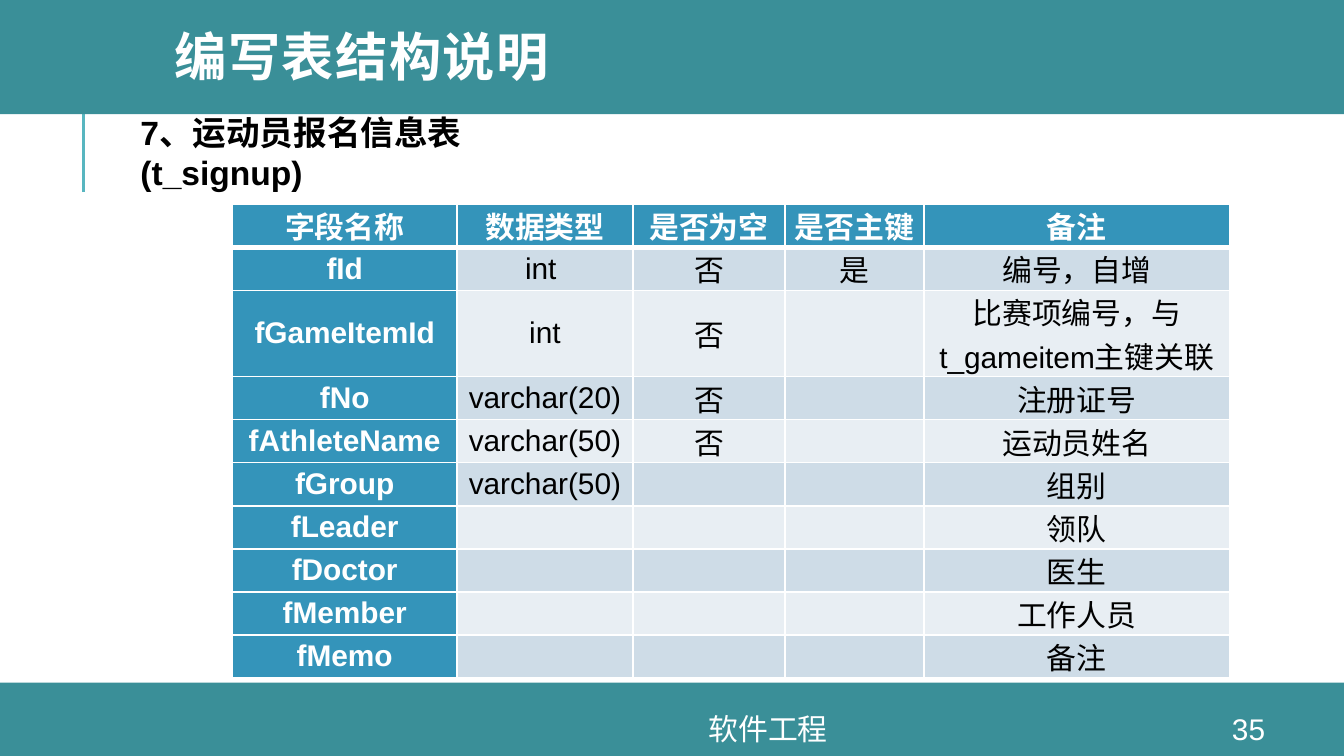
"""Build the slide that documents the fields of the sign-up table."""
from dataclasses import dataclass
from typing import NamedTuple

from lxml.etree import SubElement
from pptx import Presentation
from pptx.dml.color import RGBColor
from pptx.enum.shapes import MSO_CONNECTOR as Connector, MSO_SHAPE as Shape
from pptx.enum.text import MSO_ANCHOR as Anchor, PP_ALIGN as Align
from pptx.oxml.ns import qn
from pptx.util import Inches, Pt

COLUMNS, ROWS = 100, 56.25
UNIT = Inches(10) / COLUMNS


@dataclass(frozen=True)
class Theme:
    font: str = "Arial"
    band: str = "3A8F98"
    rule: str = "58B6C0"
    key: str = "3494BA"
    dark_row: str = "CEDCE7"
    light_row: str = "E8EEF3"
    white: str = "FFFFFF"
    black: str = "000000"
    title_size: int = 28
    subtitle_size: int = 18
    body_size: int = 16


class Area(NamedTuple):
    left: float
    top: float
    width: float
    height: float

    def emu(self) -> list[int]:
        """Convert grid columns and rows to slide lengths."""
        return [grid(value) for value in self]


class Insets(NamedTuple):
    left: float
    top: float
    right: float
    bottom: float


@dataclass(frozen=True)
class Label:
    text: str
    area: Area
    size: int
    color: str
    insets: Insets
    bold: bool = False
    align: Align = Align.LEFT
    line_spacing: float = 1.0
    tracking: int = 0


class Field(NamedTuple):
    name: str
    kind: str = ""
    nullable: str = ""
    primary: str = ""
    note: str = ""


THEME = Theme()
BANDS = (Area(0, 50.8, COLUMNS, ROWS - 50.8), Area(0, -0.3, COLUMNS, 8.8))
FOOTER_INSETS = Insets(1, 0, 1, 0)
LABELS = (
    Label("7、运动员报名信息表(t_signup)", Area(9.7, 9.4, 38.5, 3.8),
          THEME.subtitle_size, THEME.black, Insets(0.75, 0.4, 3, 0.4), bold=True),
    Label("编写表结构说明", Area(12, 0, 84.9, 9.1), THEME.title_size, THEME.white,
          Insets(1, 0.5, 1, 0.5), bold=True, line_spacing=0.8, tracking=80),
    Label("35", Area(88.9, 53.1, 8, 2.3), THEME.body_size, THEME.white,
          FOOTER_INSETS, align=Align.CENTER),
    Label("软件工程", Area(26.1, 53.1, 62.1, 2.3), THEME.body_size, THEME.white,
          FOOTER_INSETS, align=Align.CENTER),
)
FIELD_COLUMNS = (16.7, 13.1, 11.3, 10.35, 22.75)
ROW_HEIGHT, TALL_ROW_HEIGHT, TALL_ROW = 2.9, 4.6, 2
FIELDS = (
    Field("字段名称", "数据类型", "是否为空", "是否主键", "备注"),
    Field("fId", "int ", "否", "是", "编号，自增"),
    Field("fGameItemId", "int", "否", note="比赛项编号，与t_gameitem主键关联"),
    Field("fNo", "varchar(20)", "否", note="注册证号"),
    Field("fAthleteName", "varchar(50)", "否", note="运动员姓名"),
    Field("fGroup", "varchar(50)", note="组别"),
    Field("fLeader", note="领队"),
    Field("fDoctor", note="医生"),
    Field("fMember", note="工作人员"),
    Field("fMemo", note="备注"),
)


def grid(units: float) -> int:
    """Return the slide length of a number of grid units."""
    return round(units * UNIT)


def rgb(color: str) -> RGBColor:
    """Return a colour object for a hex value."""
    return RGBColor.from_string(color)


def style_font(font, size: int, color: str, bold: bool) -> None:
    """Give a font its face, size, colour and weight."""
    font.name, font.size, font.bold = THEME.font, Pt(size), bold
    font.color.rgb = rgb(color)


def set_insets(holder, insets: Insets) -> None:
    """Set the four margins of a text frame or a cell."""
    holder.margin_left, holder.margin_top = grid(insets.left), grid(insets.top)
    holder.margin_right, holder.margin_bottom = grid(insets.right), grid(insets.bottom)


def draw_rule(slide) -> None:
    """Draw the thin upright line under the title band."""
    rule = slide.shapes.add_connector(
        Connector.STRAIGHT, grid(6.2), grid(14.3), grid(6.2), grid(6.8))
    rule.line.color.rgb = rgb(THEME.rule)
    rule.line.width = Pt(1.5)
    SubElement(rule._element.spPr, qn("a:effectLst"))


def draw_band(slide, area: Area) -> None:
    """Draw one full-width colour band."""
    band = slide.shapes.add_shape(Shape.RECTANGLE, *area.emu())
    band.shadow.inherit = False
    band.fill.solid()
    band.fill.fore_color.rgb = rgb(THEME.band)
    band.line.fill.background()


def draw_label(slide, label: Label) -> None:
    """Draw one text in its area."""
    frame = slide.shapes.add_textbox(*label.area.emu()).text_frame
    frame.word_wrap = True
    frame.vertical_anchor = Anchor.MIDDLE
    set_insets(frame, label.insets)
    frame.text = label.text
    paragraph = frame.paragraphs[0]
    paragraph.alignment = label.align
    paragraph.line_spacing = label.line_spacing
    run = paragraph.runs[0]
    style_font(run.font, label.size, label.color, label.bold)
    if label.tracking:
        run._r.get_or_add_rPr().set("spc", str(label.tracking))


def add_border(cell, side: str, width: float) -> None:
    """Add a white border on one side of a cell."""
    edge = SubElement(cell._tc.get_or_add_tcPr(), qn(f"a:ln{side}"), w=str(Pt(width)))
    SubElement(SubElement(edge, qn("a:solidFill")), qn("a:srgbClr"), val=THEME.white)


def fill_cell(cell, text: str, row: int, column: int) -> None:
    """Write and style one cell by its place in the table."""
    is_key = row == 0 or column == 0
    for side in "LRTB":
        heavy = (row == 0 and side == "B") or (row == 1 and side == "T")
        add_border(cell, side, 3 if heavy else 1)
    cell.fill.solid()
    row_color = THEME.dark_row if row % 2 else THEME.light_row
    cell.fill.fore_color.rgb = rgb(THEME.key if is_key else row_color)
    cell.vertical_anchor = Anchor.MIDDLE
    set_insets(cell, Insets(0.6, 0, 0.6, 0))
    cell.text = text
    paragraph = cell.text_frame.paragraphs[0]
    paragraph.alignment = Align.CENTER
    color = THEME.white if is_key else THEME.black
    for run in paragraph.runs:
        style_font(run.font, THEME.body_size, color, is_key)
    if not text:
        SubElement(paragraph._p, qn("a:endParaRPr"), sz=str(THEME.body_size * 100))


def draw_fields(slide) -> None:
    """Draw the table of field definitions."""
    heights = [TALL_ROW_HEIGHT if row == TALL_ROW else ROW_HEIGHT
               for row in range(len(FIELDS))]
    area = Area(17.3, 15.2, sum(FIELD_COLUMNS), sum(heights))
    table = slide.shapes.add_table(len(FIELDS), len(FIELD_COLUMNS), *area.emu()).table
    table.horz_banding = False
    for column, width in zip(table.columns, FIELD_COLUMNS):
        column.width = grid(width)
    for row, (field, height) in enumerate(zip(FIELDS, heights)):
        table.rows[row].height = grid(height)
        for column, text in enumerate(field):
            fill_cell(table.cell(row, column), text, row, column)


def main() -> None:
    """Build and save the slide."""
    deck = Presentation()
    deck.slide_width, deck.slide_height = grid(COLUMNS), grid(ROWS)
    slide = deck.slides.add_slide(deck.slide_layouts[6])
    draw_rule(slide)
    for band in BANDS:
        draw_band(slide, band)
    draw_fields(slide)
    for label in LABELS:
        draw_label(slide, label)
    deck.save("out.pptx")


if __name__ == "__main__":
    main()
